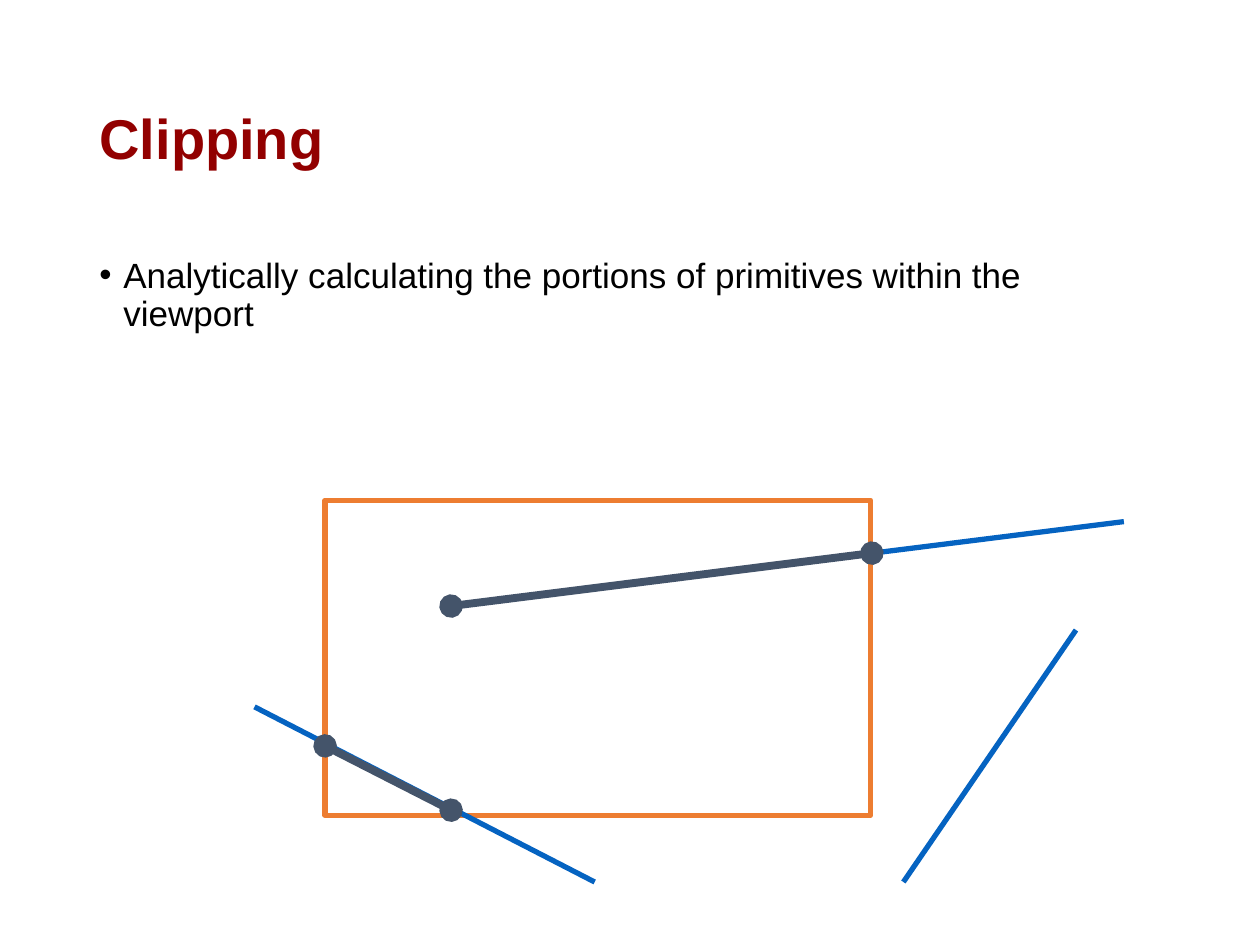
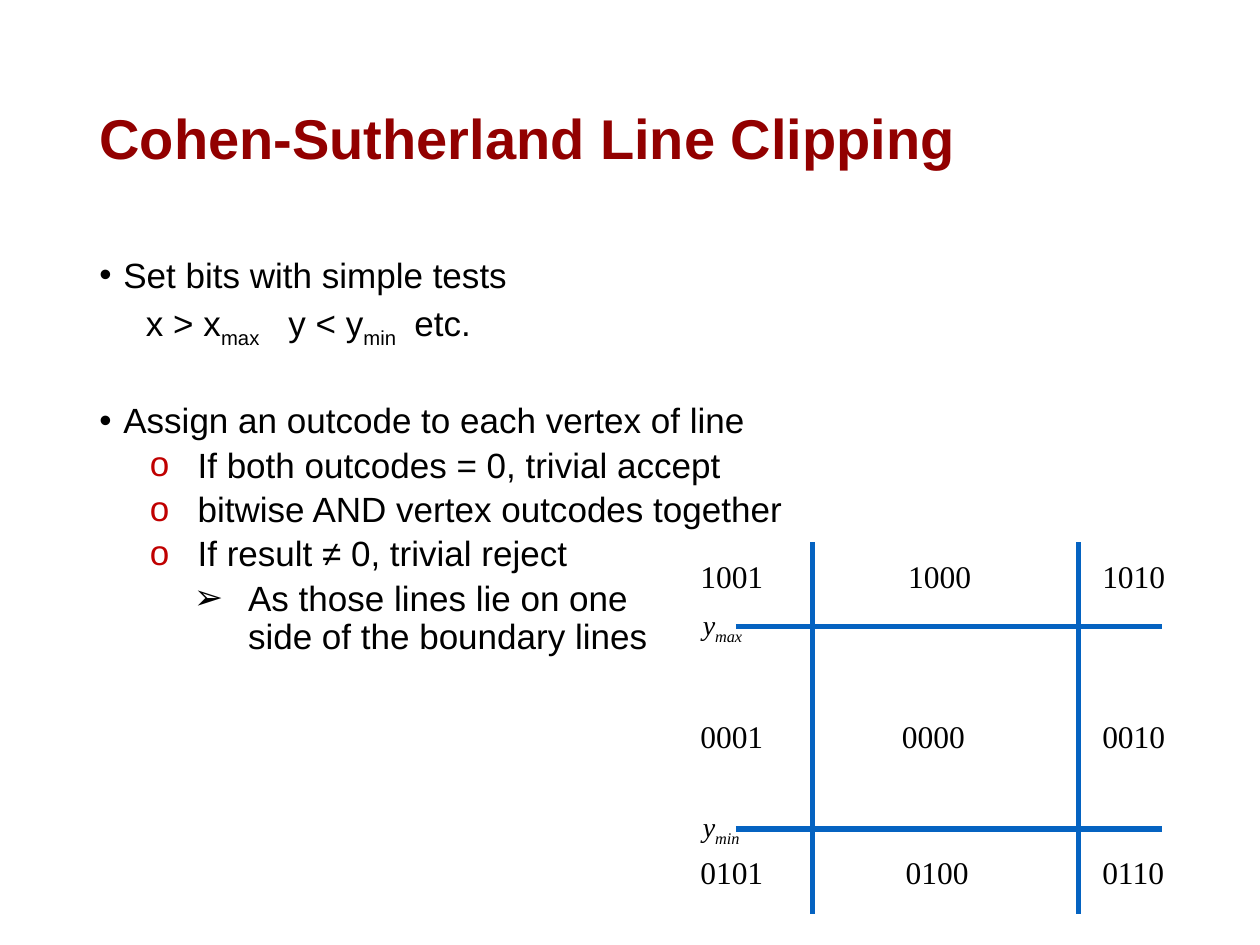
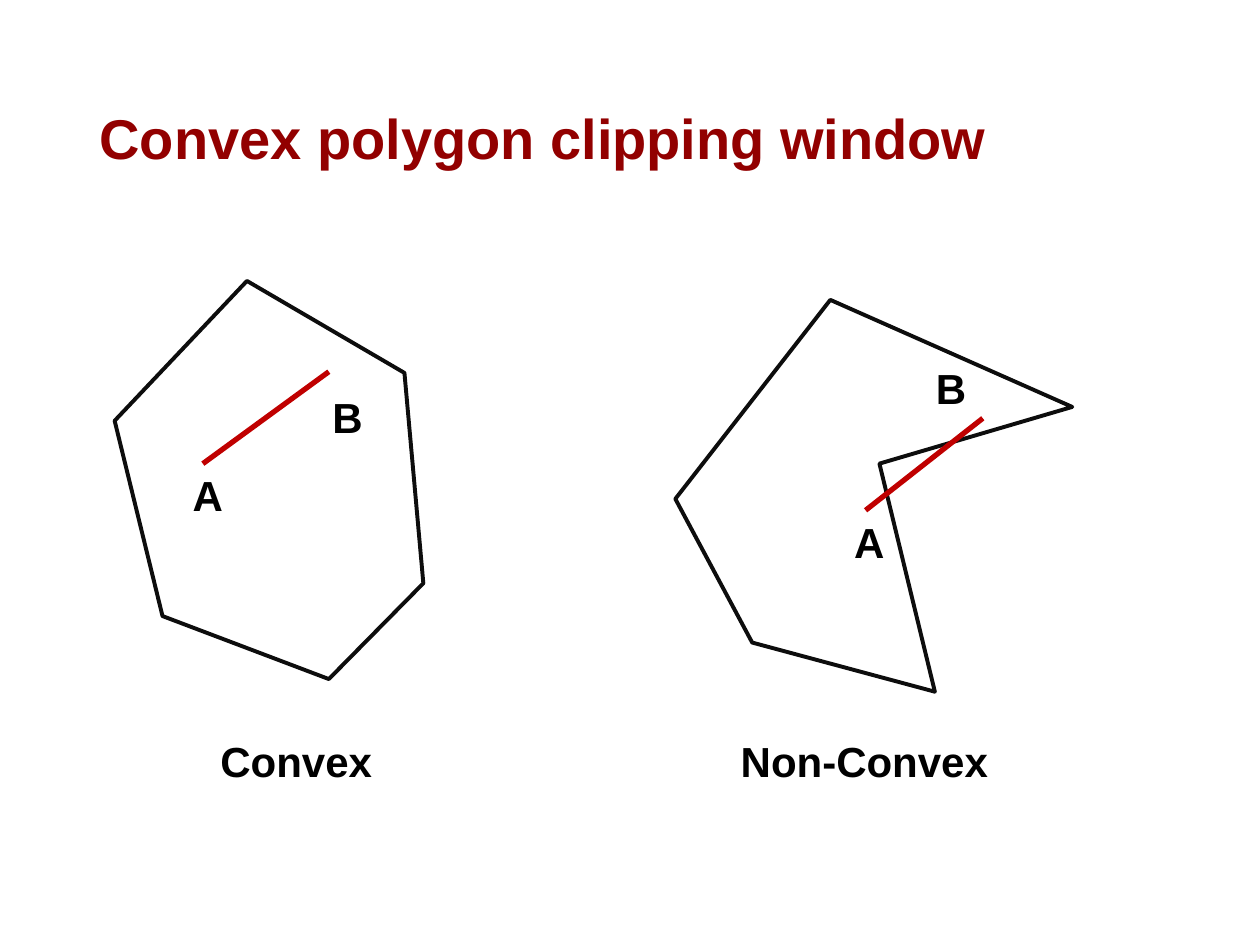
from dataclasses import dataclass

from pptx import Presentation
from pptx.dml.color import RGBColor
from pptx.enum.shapes import MSO_CONNECTOR, MSO_SHAPE
from pptx.enum.text import MSO_ANCHOR, MSO_AUTO_SIZE, PP_ALIGN
from pptx.oxml.ns import qn
from pptx.util import Inches, Pt
from lxml import etree

STRAIGHT = MSO_CONNECTOR.STRAIGHT
RECTANGLE = MSO_SHAPE.RECTANGLE
MIDDLE, TOP = MSO_ANCHOR.MIDDLE, MSO_ANCHOR.TOP
LEFT = PP_ALIGN.LEFT
NO_AUTOFIT = MSO_AUTO_SIZE.NONE
TITLE_ONLY = 5


@dataclass(frozen=True)
class Theme:
    sans: str = "Arial"
    serif: str = "Times New Roman"
    title: str = "920000"
    text: str = "000000"
    accent: str = "C00000"
    line: str = "0563C1"
    window: str = "ED7D31"
    clipped: str = "44546A"
    outline: str = "0D0D0D"
    title_size: int = 32
    label_size: int = 24
    body_size: int = 20
    code_size: int = 18
    axis_size: int = 16
    line_width: float = 3
    clipped_width: float = 4.5
    outline_width: float = 2.25
    line_spacing: float = 0.9


THEME = Theme()


@dataclass(frozen=True)
class Level:
    """Look of one body level: left margin and first-line indent in inches, space in points."""
    margin: float
    indent: float
    space: float
    bullet: str = ""
    bullet_color: str = THEME.text
    tabs: tuple = ()


POINT = Level(0.19, -0.19, 7.5, "•")
POINT_AFTER_GAP = Level(0.19, -0.19, 33, "•")
FORMULA = Level(0, 0.37, 3.8, tabs=(2.29, 3.56))
SUBPOINT = Level(0.78, -0.38, 3.8, "o", THEME.accent)
DETAIL = Level(1.18, -0.43, 3.8, "➢")


def set_font(font, name, size, color=THEME.text, bold=False, italic=False):
    font.name, font.size = name, Pt(size)
    font.bold, font.italic = bold, italic
    font.color.rgb = RGBColor.from_string(color)


def add_child(parent, tag, **attributes):
    return etree.SubElement(parent, qn(tag), attributes)


def write_text(paragraph, text):
    """Write text, where parts between underscores are subscripts."""
    for index, part in enumerate(text.split("_")):
        if part:
            run = paragraph.add_run()
            run.text = part
            if index % 2:
                run._r.get_or_add_rPr().set("baseline", "-25000")


def add_slide(presentation, title):
    slide = presentation.slides.add_slide(presentation.slide_layouts[TITLE_ONLY])
    shape = slide.shapes.title
    shape.left, shape.top = Inches(0.69), Inches(0.4)
    shape.width, shape.height = Inches(8.62), Inches(1.45)
    frame = shape.text_frame
    frame.text = title
    frame.auto_size, frame.vertical_anchor = NO_AUTOFIT, MIDDLE
    paragraph = frame.paragraphs[0]
    paragraph.alignment, paragraph.line_spacing = LEFT, THEME.line_spacing
    set_font(paragraph.font, THEME.sans, THEME.title_size, THEME.title, bold=True)
    return slide


def add_text_box(slide, left, top, width, height):
    box = slide.shapes.add_textbox(Inches(left), Inches(top), Inches(width), Inches(height))
    return box.text_frame


def format_level(paragraph, level):
    properties = paragraph._p.get_or_add_pPr()
    properties.set("marL", str(Inches(level.margin)))
    properties.set("indent", str(Inches(level.indent)))
    if level.bullet:
        color = add_child(properties, "a:buClr")
        add_child(color, "a:srgbClr", val=level.bullet_color)
        add_child(properties, "a:buFont", typeface=THEME.sans)
        add_child(properties, "a:buChar", char=level.bullet)
    if level.tabs:
        tab_list = add_child(properties, "a:tabLst")
        for position in level.tabs:
            add_child(tab_list, "a:tab", pos=str(Inches(position)), algn="l")


def add_body(slide, items):
    frame = add_text_box(slide, 0.69, 2, 8.62, 4.76)
    frame.word_wrap = True
    for index, (level, text) in enumerate(items):
        paragraph = frame.add_paragraph() if index else frame.paragraphs[0]
        if "\v" in text:
            paragraph.text = text
        else:
            write_text(paragraph, text)
        format_level(paragraph, level)
        paragraph.line_spacing = THEME.line_spacing
        if index:
            paragraph.space_before = Pt(level.space)
        set_font(paragraph.font, THEME.sans, THEME.body_size)


def add_label(slide, text, left, top, width, height=0.5, anchor=TOP,
              font=THEME.sans, size=THEME.label_size, bold=False, italic=False):
    frame = add_text_box(slide, left, top, width, height)
    frame.word_wrap = False
    frame.vertical_anchor = anchor
    paragraph = frame.paragraphs[0]
    write_text(paragraph, text)
    set_font(paragraph.font, font, size, bold=bold, italic=italic)


def add_line(slide, start, end, color=THEME.line, width=THEME.line_width, dots=False):
    points = [Inches(value) for value in (*start, *end)]
    connector = slide.shapes.add_connector(STRAIGHT, *points)
    connector.line.color.rgb = RGBColor.from_string(color)
    connector.line.width = Pt(width)
    if dots:
        outline = connector.line._get_or_add_ln()
        add_child(outline, "a:headEnd", type="oval")
        add_child(outline, "a:tailEnd", type="oval")
    add_child(connector._element.spPr, "a:effectLst")


def style_outline(shape, color, width):
    shape.shadow.inherit = False
    shape.fill.background()
    shape.line.color.rgb = RGBColor.from_string(color)
    shape.line.width = Pt(width)


def add_polygon(slide, points):
    corners = [(Inches(x), Inches(y)) for x, y in points]
    builder = slide.shapes.build_freeform(*corners[0])
    builder.add_line_segments(corners[1:], close=True)
    style_outline(builder.convert_to_shape(), THEME.outline, THEME.outline_width)


def add_polygon_example(slide, corners, segment, a_position, b_position):
    """Draw a polygon with the segment AB inside it."""
    add_polygon(slide, corners)
    add_line(slide, *segment, color=THEME.accent)
    for text, position in (("A", a_position), ("B", b_position)):
        add_label(slide, text, *position, 0.45, bold=True)


def build_clipping(presentation):
    slide = add_slide(presentation, "Clipping")
    window = slide.shapes.add_shape(
        RECTANGLE, Inches(2.58), Inches(3.97), Inches(4.33), Inches(2.5))
    style_outline(window, THEME.window, THEME.line_width)
    for start, end in (((3.58, 4.81), (8.92, 4.14)),
                       ((2.02, 5.61), (4.72, 7)),
                       ((7.17, 7), (8.54, 5))):
        add_line(slide, start, end)
    add_body(slide, [
        (POINT, "Analytically calculating the portions of primitives within the viewport")])
    for start, end in (((3.58, 4.81), (6.92, 4.39)), ((2.58, 5.92), (3.58, 6.43))):
        add_line(slide, start, end, THEME.clipped, THEME.clipped_width, dots=True)


def build_cohen_sutherland(presentation):
    slide = add_slide(presentation, "Cohen-Sutherland Line Clipping")
    add_body(slide, [
        (POINT, "Set bits with simple tests"),
        (FORMULA, "x > x_max_\ty < y_min_\tetc."),
        (POINT_AFTER_GAP, "Assign an outcode to each vertex of line"),
        (SUBPOINT, "If both outcodes = 0, trivial accept"),
        (SUBPOINT, "bitwise AND vertex outcodes together"),
        (SUBPOINT, "If result ≠ 0, trivial reject"),
        (DETAIL, "As those lines lie on one \vside of the boundary lines"),
    ])
    for y in (4.97, 6.58):
        add_line(slide, (5.84, y), (9.22, y))
    for x in (6.45, 8.56):
        add_line(slide, (x, 7.25), (x, 4.3))
    outcode_rows = (
        (4.32, 7.11, ("1001", "1000", "1010")),
        (5.59, 7.06, ("0001", "0000", "0010")),
        (6.67, 7.09, ("0101", "0100", "0110")),
    )
    for top, middle_left, codes in outcode_rows:
        for left, code in zip((5.46, middle_left, 8.65), codes):
            add_label(slide, code, left, top, 0.87, anchor=MIDDLE,
                      font=THEME.serif, size=THEME.code_size)
    for text, top, width in (("y_max_", 4.77, 0.56), ("y_min_", 6.38, 0.53)):
        add_label(slide, text, 5.48, top, width, 0.37,
                  font=THEME.serif, size=THEME.axis_size, italic=True)


def build_convex_window(presentation):
    slide = add_slide(presentation, "Convex polygon clipping window")
    add_polygon_example(
        slide,
        [(0.91, 3.34), (1.96, 2.23), (3.21, 2.96), (3.36, 4.63), (2.61, 5.39), (1.29, 4.89)],
        ((1.61, 3.68), (2.61, 2.95)), (1.43, 3.68), (2.54, 3.06))
    add_polygon_example(
        slide,
        [(5.36, 3.96), (6.59, 2.38), (8.51, 3.23), (6.98, 3.68), (7.42, 5.49), (5.97, 5.1)],
        ((6.87, 4.05), (7.8, 3.32)), (6.68, 4.05), (7.33, 2.83))
    for text, left, width in (("Convex", 1.65, 1.42), ("Non-Convex", 5.78, 2.18)):
        add_label(slide, text, left, 5.79, width, bold=True)


def main():
    presentation = Presentation()
    presentation.slide_width, presentation.slide_height = Inches(10), Inches(7.5)
    build_clipping(presentation)
    build_cohen_sutherland(presentation)
    build_convex_window(presentation)
    presentation.save("out.pptx")


if __name__ == "__main__":
    main()
